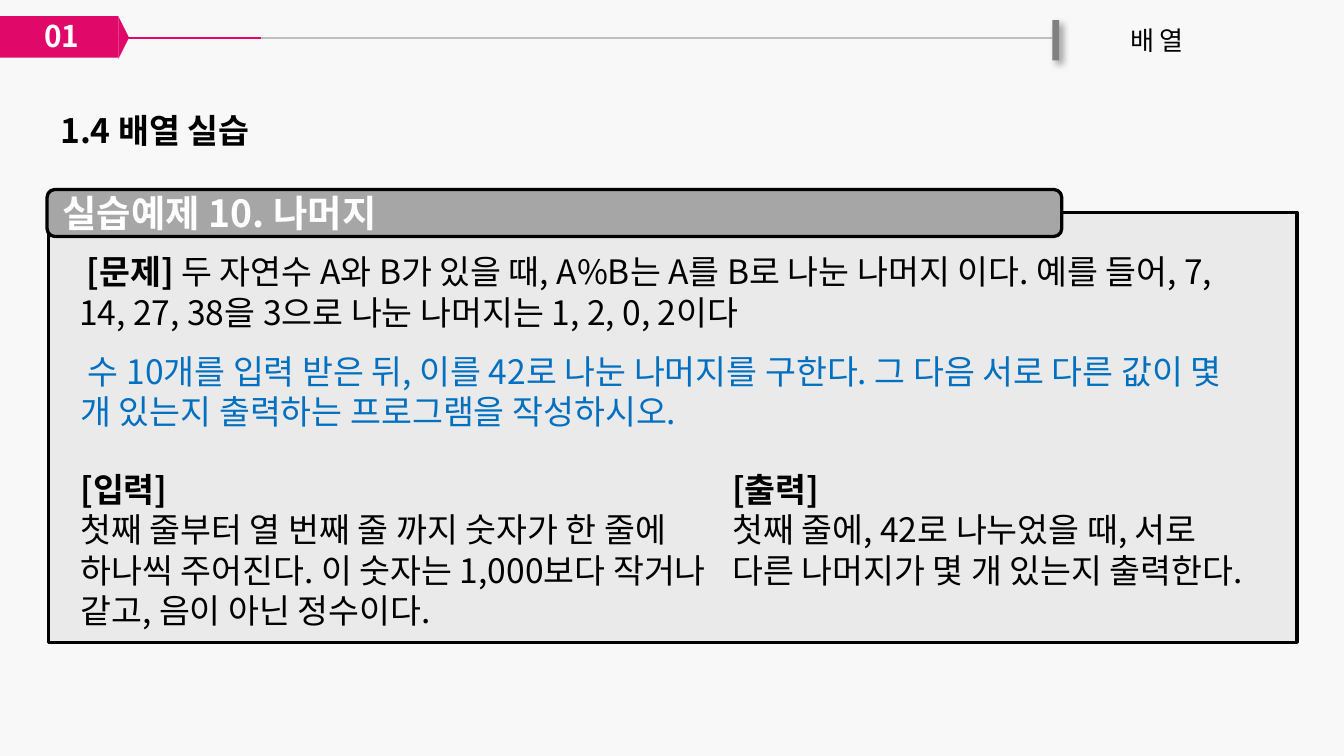
from lxml import etree
from pptx import Presentation
from pptx.dml.color import RGBColor
from pptx.enum import shapes, text
from pptx.oxml.ns import qn
from pptx.util import Inches, Pt

THEME = {
    "font": "Noto Sans CJK KR", "line_height": 1.2,
    "page": "F8F8F8", "accent": "E00868", "rule": "BFBFBF", "mark": "808080",
    "panel": "EAEAEA", "bar": "A6A6A6", "ink": "000000", "white": "FFFFFF",
    "blue": "0070C0", "number": 16, "chapter": 14, "body": 18, "title": 20,
}

NUMBER, CHAPTER, SECTION = "01", "배 열", "1.4 배열 실습"
EXERCISE = "실습예제 10. 나머지"
PROBLEM = [[
    (" [문제] ", True),
    ("두 자연수 A와 B가 있을 때, A%B는 A를 B로 나눈 나머지 이다. 예를 들어, "
     "7, 14, 27, 38을 3으로 나눈 나머지는 1, 2, 0, 2이다", False),
]]
TASK = [[
    (" 수 10개를 입력 받은 뒤, 이를 42로 나눈 나머지를 구한다. 그 다음 서로 다른 값이 "
     "몇 개 있는지 출력하는 프로그램을 작성하시오.", False),
]]
INPUT = [
    [("[입력]", True)],
    [("첫째 줄부터 열 번째 줄 까지 숫자가 한 줄에 하나씩 주어진다. 이 숫자는 "
      "1,000보다 작거나 같고, 음이 아닌 정수이다.", False)],
]
OUTPUT = [
    [("[출력]", True)],
    [("첫째 줄에, 42로 나누었을 때, 서로 다른 나머지가 몇 개 있는지 출력한다.", False)],
]


def color(name):
    return RGBColor.from_string(THEME[name])


def write(tf, paragraphs, size="body", ink="ink", wrap=True, right=0.1):
    tf.word_wrap = wrap
    tf.margin_right = Inches(right)
    for i, runs in enumerate(paragraphs):
        p = tf.paragraphs[0] if i == 0 else tf.add_paragraph()
        p.alignment = text.PP_ALIGN.LEFT
        p.line_spacing = Pt(THEME[size] * THEME["line_height"])
        for content, bold in runs:
            r = p.add_run()
            r.text = content
            r.font.name = THEME["font"]
            r.font.size = Pt(THEME[size])
            r.font.bold = bold
            r.font.color.rgb = color(ink)
            ea = etree.SubElement(r.font._element, qn("a:ea"))
            ea.set("typeface", THEME["font"])


def add_text(s, box, paragraphs, **fmt):
    sp = s.shapes.add_textbox(*map(Inches, box))
    write(sp.text_frame, paragraphs, **fmt)
    sp.text_frame.auto_size = text.MSO_AUTO_SIZE.SHAPE_TO_FIT_TEXT


def add_box(s, kind, box, fill, outlined=False):
    sp = s.shapes.add_shape(kind, *map(Inches, box))
    sp.shadow.inherit = False
    sp.fill.solid()
    sp.fill.fore_color.rgb = color(fill)
    if outlined:
        sp.line.color.rgb = color("ink")
        sp.line.width = Pt(1.75)
    else:
        sp.line.fill.background()
    return sp


def add_rule(s, x1, x2, y, ink):
    line = s.shapes.add_connector(shapes.MSO_CONNECTOR.STRAIGHT,
                                  *map(Inches, (x1, y, x2, y)))
    line.line.color.rgb = color(ink)
    line.line.width = Pt(1)
    etree.SubElement(line._element.spPr, qn("a:effectLst"))


def add_shadow(sp):
    effects = sp._element.spPr.find(qn("a:effectLst"))
    shadow = etree.SubElement(effects, qn("a:outerShdw"), blurRad=str(Pt(4)),
                              dist=str(Pt(3)), dir=str(45 * 60000), algn="tl")
    tint = etree.SubElement(shadow, qn("a:srgbClr"), val=THEME["ink"])
    etree.SubElement(tint, qn("a:alpha"), val="40000")


def add_header(s):
    rect = shapes.MSO_SHAPE.RECTANGLE
    y = 0.28
    add_rule(s, 0.35, 7.83, y, "rule")
    add_box(s, rect, (-0.01, 0.12, 0.89, 0.31), "accent")
    add_shadow(add_box(s, rect, (7.83, 0.15, 0.05, 0.3), "mark"))
    add_rule(s, 0.92, 1.94, y, "accent")
    tip = add_box(s, shapes.MSO_SHAPE.ISOSCELES_TRIANGLE,
                  (0.76, 0.24, 0.32, 0.08), "accent")
    tip.rotation = 90
    add_text(s, (0.23, 0.08, 0.46, 0.37), [[(NUMBER, True)]],
             size="number", ink="white", wrap=False)
    add_text(s, (8.31, 0.13, 0.66, 0.34), [[(CHAPTER, False)]],
             size="chapter", wrap=False)
    add_text(s, (0.35, 0.77, 1.84, 0.4), [[(SECTION, True)]], wrap=False)


def add_exercise(s):
    add_box(s, shapes.MSO_SHAPE.RECTANGLE, (0.36, 1.58, 9.29, 3.2), "panel", True)
    bar = add_box(s, shapes.MSO_SHAPE.ROUNDED_RECTANGLE,
                  (0.35, 1.41, 7.55, 0.35), "bar", True)
    bar.text_frame.vertical_anchor = text.MSO_ANCHOR.MIDDLE
    write(bar.text_frame, [[(EXERCISE, True)]], size="title", ink="white")
    add_text(s, (0.49, 1.82, 9, 0.71), PROBLEM)
    add_text(s, (0.5, 2.56, 8.99, 0.71), TASK, ink="blue", right=0.4)
    for x, width, paragraphs in ((0.5, 5, INPUT), (5.35, 4.14, OUTPUT)):
        add_text(s, (x, 3.44, width, 1.31), paragraphs)


def main():
    prs = Presentation()
    prs.slide_width, prs.slide_height = Inches(10), Inches(5.625)
    s = prs.slides.add_slide(prs.slide_layouts[6])
    s.background.fill.solid()
    s.background.fill.fore_color.rgb = color("page")
    add_header(s)
    add_exercise(s)
    prs.save("out.pptx")


if __name__ == "__main__":
    main()
